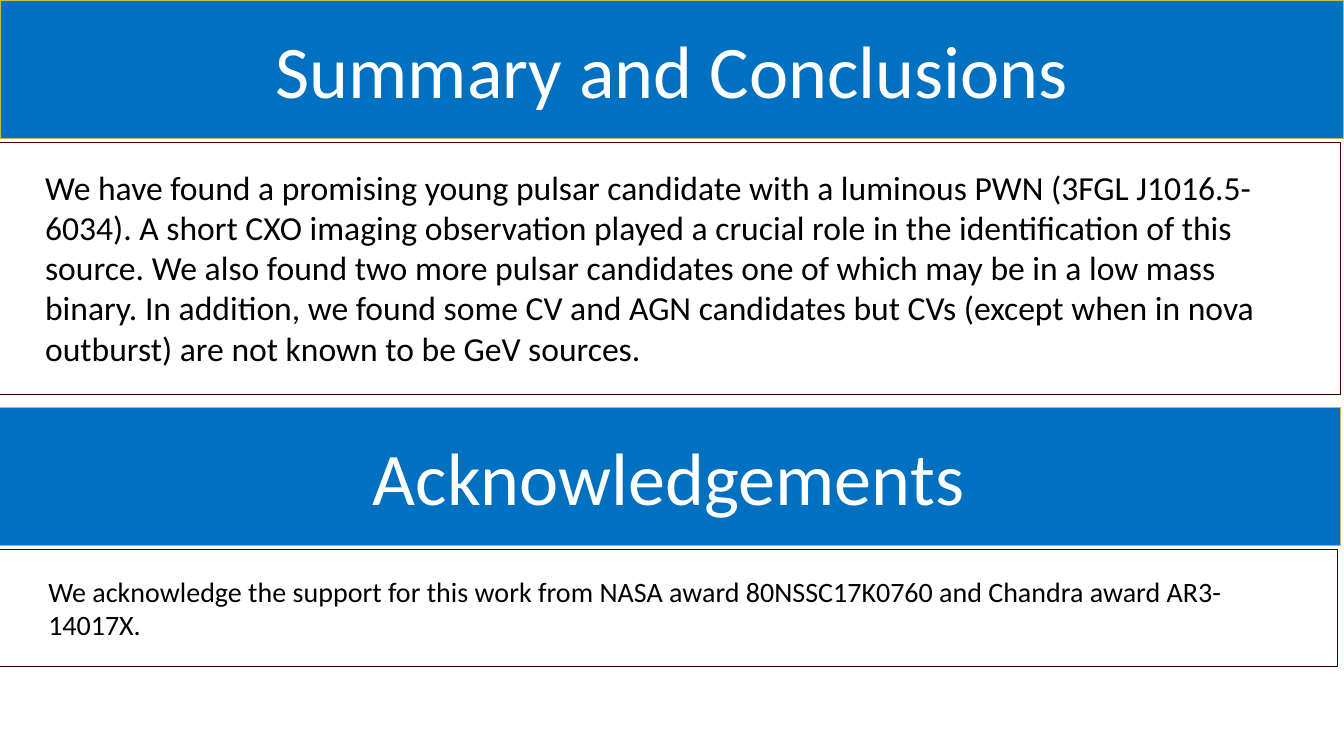
from pptx import Presentation
from pptx.dml.color import RGBColor
from pptx.enum.shapes import MSO_SHAPE
from pptx.enum.text import MSO_ANCHOR, MSO_AUTO_SIZE, PP_ALIGN
from pptx.util import Pt

RECTANGLE = MSO_SHAPE.RECTANGLE
TOP = MSO_ANCHOR.TOP
GROW = MSO_AUTO_SIZE.SHAPE_TO_FIT_TEXT
LEFT, CENTER = PP_ALIGN.LEFT, PP_ALIGN.CENTER

FONT = "Calibri"
BLUE, GOLD, MAROON = "0070C0", "C6BD4C", "3E0000"
WHITE, BLACK = "FFFFFF", "000000"
SLIDE_WIDTH, SLIDE_HEIGHT = 960, 540
SIDE_INSET, END_INSET = 34.5, 17.25
SHIFT = -2.3

SUMMARY = (
    "We have found a promising young pulsar candidate with a luminous PWN "
    "(3FGL J1016.5-6034). A short CXO imaging observation played a crucial role "
    "in the identification of this source. We also found two more pulsar "
    "candidates one of which may be in a low mass binary. In addition, we found "
    "some CV and AGN candidates but CVs (except when in nova outburst) are not "
    "known to be GeV sources."
)
ACKNOWLEDGEMENT = (
    "We acknowledge the support for this work from NASA award 80NSSC17K0760 "
    "and Chandra award AR3-14017X."
)


def color(hex_string):
    return RGBColor.from_string(hex_string)


def fill_panel(shape, box, text, size, fill, line, text_color, alignment):
    """Place a shape in its box, colour it and write its one paragraph."""
    shape.left, shape.top, shape.width, shape.height = map(Pt, box)
    shape.fill.solid()
    shape.fill.fore_color.rgb = color(fill)
    shape.line.color.rgb = color(line)
    shape.line.width = Pt(0.75)

    frame = shape.text_frame
    frame.word_wrap = True
    frame.auto_size = GROW
    frame.vertical_anchor = TOP
    frame.margin_left = frame.margin_right = Pt(SIDE_INSET)
    frame.margin_top = frame.margin_bottom = Pt(END_INSET)
    paragraph = frame.paragraphs[0]
    paragraph.alignment = alignment
    run = paragraph.add_run()
    run.text = text
    run.font.name = FONT
    run.font.size = Pt(size)
    run.font.color.rgb = color(text_color)


def add_rectangle(slide, box):
    shape = slide.shapes.add_shape(RECTANGLE, *map(Pt, box))
    shape.shadow.inherit = False
    return shape


def format_heading(shape, box, text):
    fill_panel(shape, box, text, 53, BLUE, GOLD, WHITE, CENTER)


def add_body(slide, box, text, size):
    shape = add_rectangle(slide, box)
    fill_panel(shape, box, text, size, WHITE, MAROON, BLACK, LEFT)


def build_slide(presentation):
    slide = presentation.slides.add_slide(presentation.slide_layouts[5])
    format_heading(slide.shapes.title, (0, 0, SLIDE_WIDTH, 98.9),
                   "Summary and Conclusions")
    add_body(slide, (SHIFT, 101.6, SLIDE_WIDTH, 180.3), SUMMARY, 24)
    acknowledgements_box = (SHIFT, 291, SLIDE_WIDTH, 98.9)
    format_heading(add_rectangle(slide, acknowledgements_box),
                   acknowledgements_box, "Acknowledgements")
    add_body(slide, (0, 392.8, 955.4, 83.3), ACKNOWLEDGEMENT, 20)


def main():
    presentation = Presentation()
    presentation.slide_width = Pt(SLIDE_WIDTH)
    presentation.slide_height = Pt(SLIDE_HEIGHT)
    build_slide(presentation)
    presentation.save("out.pptx")


if __name__ == "__main__":
    main()
